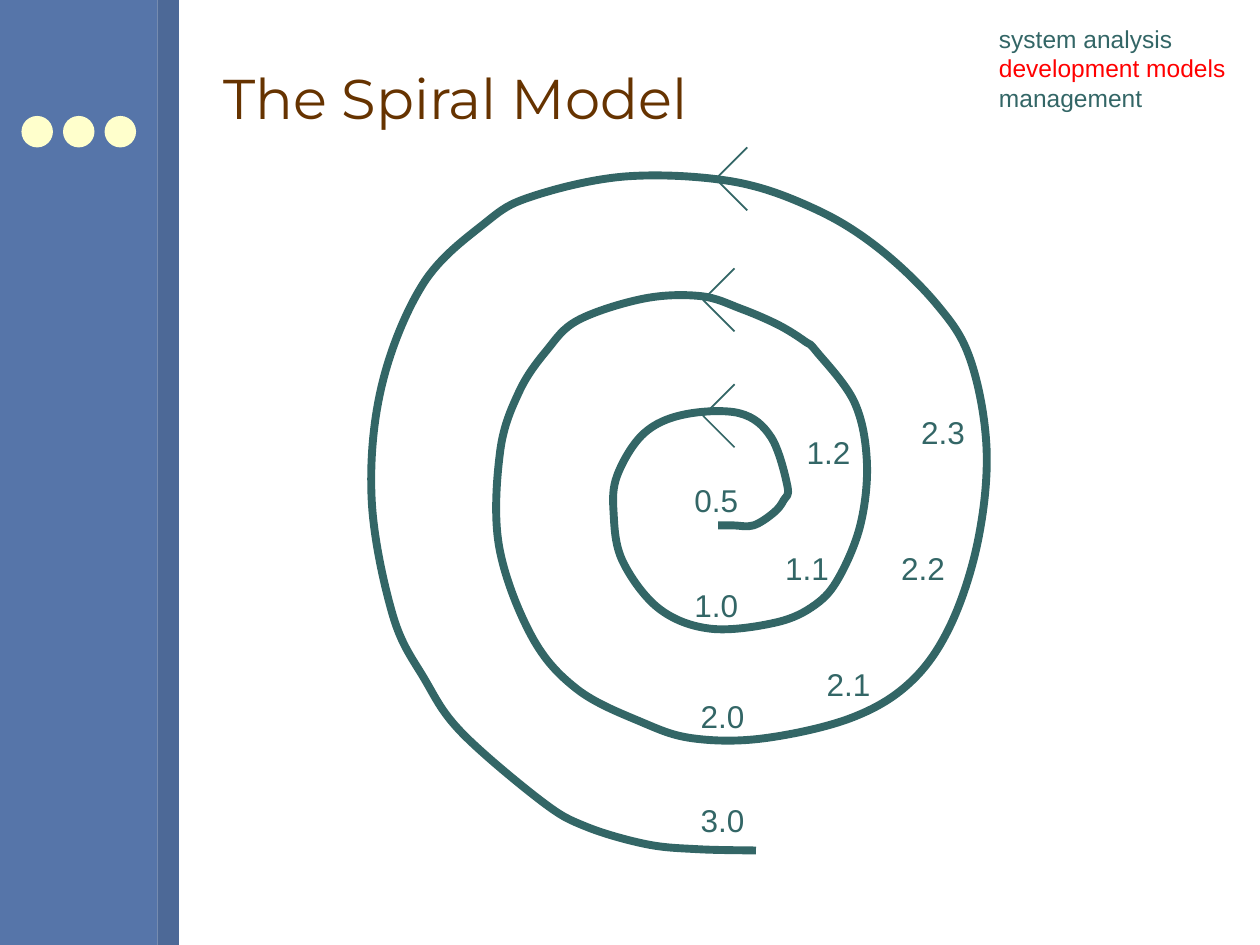
from dataclasses import dataclass

from lxml import etree
from pptx import Presentation
from pptx.dml.color import RGBColor
from pptx.enum.shapes import MSO_CONNECTOR, MSO_SHAPE
from pptx.enum.text import MSO_ANCHOR, MSO_AUTO_SIZE, PP_ALIGN
from pptx.oxml.ns import qn
from pptx.util import Inches, Pt


@dataclass(frozen=True)
class Theme:
    band: RGBColor = RGBColor(0x56, 0x75, 0xA9)
    band_edge: RGBColor = RGBColor(0x4D, 0x69, 0x97)
    dot: RGBColor = RGBColor(0xFF, 0xFF, 0xCC)
    title: RGBColor = RGBColor(0x66, 0x33, 0x00)
    main: RGBColor = RGBColor(0x33, 0x66, 0x66)
    current: RGBColor = RGBColor(0xFF, 0x00, 0x00)
    title_font: str = "Montserrat"
    body_font: str = "Arial"
    title_size: int = 32
    version_size: int = 18
    topic_size: int = 14


THEME = Theme()

SPIRAL_KNOTS = [
    (5.7, 4.17), (5.82, 4.17), (5.98, 4.17), (6.14, 4.07), (6.22, 3.97),
    (6.25, 3.86), (6.12, 3.47), (5.87, 3.28), (5.43, 3.29), (5.11, 3.44),
    (4.9, 3.77), (4.87, 4.07), (4.94, 4.45), (5.23, 4.83), (5.64, 4.99),
    (6.16, 4.94), (6.47, 4.8), (6.66, 4.58), (6.83, 4.16), (6.88, 3.66),
    (6.78, 3.19), (6.48, 2.79), (6.39, 2.71), (6.18, 2.58), (5.88, 2.45),
    (5.56, 2.35), (5.11, 2.37), (4.59, 2.54), (4.34, 2.78), (4.12, 3.11),
    (3.97, 3.58), (3.96, 4.33), (4.22, 5.05), (4.58, 5.47), (5.09, 5.73),
    (5.5, 5.86), (6.06, 5.86), (6.75, 5.7), (7.22, 5.42), (7.54, 4.97),
    (7.76, 4.3), (7.83, 3.56), (7.7, 2.85), (7.43, 2.41), (6.96, 1.96),
    (6.45, 1.65), (5.81, 1.44), (4.97, 1.4), (4.22, 1.56), (3.85, 1.77),
    (3.36, 2.25), (3.03, 3.06), (2.95, 3.97), (3.12, 4.89), (3.37, 5.39),
    (3.66, 5.81), (4.3, 6.36), (4.65, 6.56), (5.13, 6.7), (5.54, 6.74),
    (6, 6.75),
]

VERSIONS = [
    ("0.5", 5.41, 3.77), ("1.0", 5.41, 4.6), ("1.1", 6.13, 4.31),
    ("1.2", 6.3, 3.39), ("2.0", 5.46, 5.48), ("2.1", 6.46, 5.23),
    ("2.2", 7.05, 4.31), ("2.3", 7.21, 3.23), ("3.0", 5.46, 6.31),
]

ARROW_TIPS = [(5.68, 1.42), (5.58, 2.38), (5.58, 3.3)]
TOPICS = ["system analysis", "development models", "management"]
CURRENT_TOPIC = "development models"


def style_runs(paragraph, font_name, size, color):
    for run in paragraph.runs:
        run.font.name = font_name
        run.font.size = Pt(size)
        run.font.color.rgb = color


def add_filled(slide, preset, left, top, width, height, color):
    shape = slide.shapes.add_shape(
        preset, Inches(left), Inches(top), Inches(width), Inches(height))
    shape.shadow.inherit = False
    shape.fill.solid()
    shape.fill.fore_color.rgb = color
    shape.line.fill.background()


def add_side_band(slide):
    add_filled(slide, MSO_SHAPE.RECTANGLE, 0, 0, 1.25, 7.5, THEME.band)
    add_filled(slide, MSO_SHAPE.RECTANGLE, 1.25, 0, 0.17, 7.5, THEME.band_edge)
    for index in range(3):
        add_filled(slide, MSO_SHAPE.OVAL, 0.17 + 0.33 * index, 0.92,
                   0.25, 0.25, THEME.dot)


def set_title(slide, text):
    title = slide.shapes.title
    title.left, title.top = Inches(1.67), Inches(0.21)
    title.width, title.height = Inches(8), Inches(1.13)
    frame = title.text_frame
    frame.text = text
    frame.auto_size = MSO_AUTO_SIZE.NONE
    frame.vertical_anchor = MSO_ANCHOR.MIDDLE
    frame.paragraphs[0].alignment = PP_ALIGN.LEFT
    style_runs(frame.paragraphs[0], THEME.title_font, THEME.title_size,
               THEME.title)


def round_path(shape):
    """Turn the straight segments of a freeform into one smooth curve."""
    segments = list(next(shape._element.iter(qn("a:path"))))
    knots = [(int(pt.get("x")), int(pt.get("y")))
             for segment in segments for pt in segment]
    padded = [knots[0], *knots, knots[-1]]
    for segment, before, start, end, after in zip(
            segments[1:], padded, padded[1:], padded[2:], padded[3:]):
        leave = [s + (e - b) / 6 for b, s, e in zip(before, start, end)]
        arrive = [e - (a - s) / 6 for s, e, a in zip(start, end, after)]
        segment.clear()
        segment.tag = qn("a:cubicBezTo")
        for x, y in (leave, arrive, end):
            etree.SubElement(segment, qn("a:pt"), x=str(round(x)),
                             y=str(round(y)))


def add_spiral(slide, knots):
    points = [(Inches(x), Inches(y)) for x, y in knots]
    builder = slide.shapes.build_freeform(*points[0])
    builder.add_line_segments(points[1:], close=False)
    spiral = builder.convert_to_shape()
    round_path(spiral)
    spiral.shadow.inherit = False
    spiral.fill.background()
    spiral.line.color.rgb = THEME.main
    spiral.line.width = Pt(4.5)


def add_text(slide, lines, left, top, width, height, size, alignment):
    box = slide.shapes.add_textbox(
        Inches(left), Inches(top), Inches(width), Inches(height))
    frame = box.text_frame
    frame.text = "\n".join(lines)
    frame.word_wrap = False
    frame.auto_size = MSO_AUTO_SIZE.SHAPE_TO_FIT_TEXT
    for paragraph in frame.paragraphs:
        paragraph.alignment = alignment
        color = THEME.current if paragraph.text == CURRENT_TOPIC else THEME.main
        style_runs(paragraph, THEME.body_font, size, color)


def add_open_arrow(slide, tip_x, tip_y, reach=0.25):
    for rise in (reach, -reach):
        stroke = slide.shapes.add_connector(
            MSO_CONNECTOR.STRAIGHT, Inches(tip_x), Inches(tip_y),
            Inches(tip_x + reach), Inches(tip_y + rise))
        stroke.line.color.rgb = THEME.main
        stroke.line.width = Pt(1)
        etree.SubElement(stroke._element.spPr, qn("a:effectLst"))


def main():
    deck = Presentation()
    deck.slide_width, deck.slide_height = Inches(10), Inches(7.5)
    slide = deck.slides.add_slide(deck.slide_layouts.get_by_name("Title Only"))

    add_side_band(slide)
    set_title(slide, "The Spiral Model")
    add_spiral(slide, SPIRAL_KNOTS)
    for version, left, top in VERSIONS:
        add_text(slide, [version], left, top, 0.55, 0.4,
                 THEME.version_size, PP_ALIGN.CENTER)
    for tip in ARROW_TIPS:
        add_open_arrow(slide, *tip)
    add_text(slide, TOPICS, 7.83, 0.14, 2, 0.8,
             THEME.topic_size, PP_ALIGN.LEFT)

    deck.save("out.pptx")


if __name__ == "__main__":
    main()
